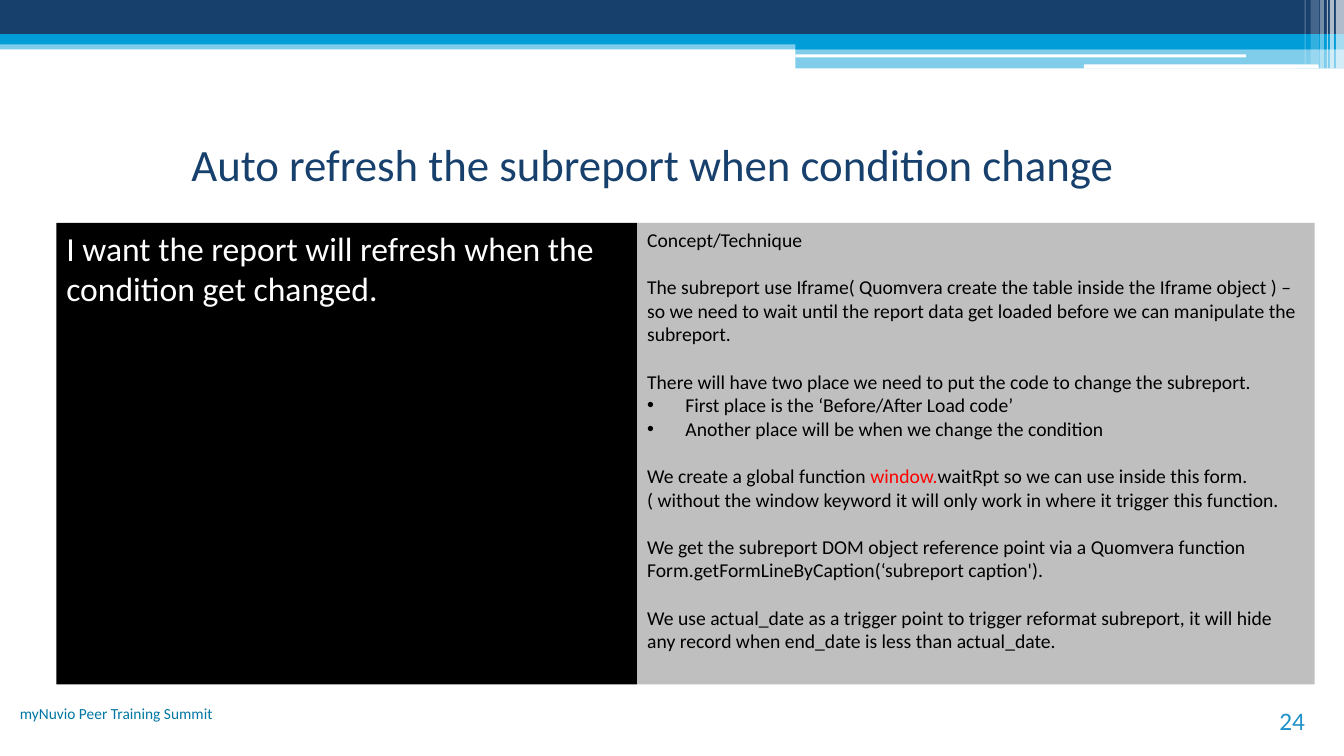
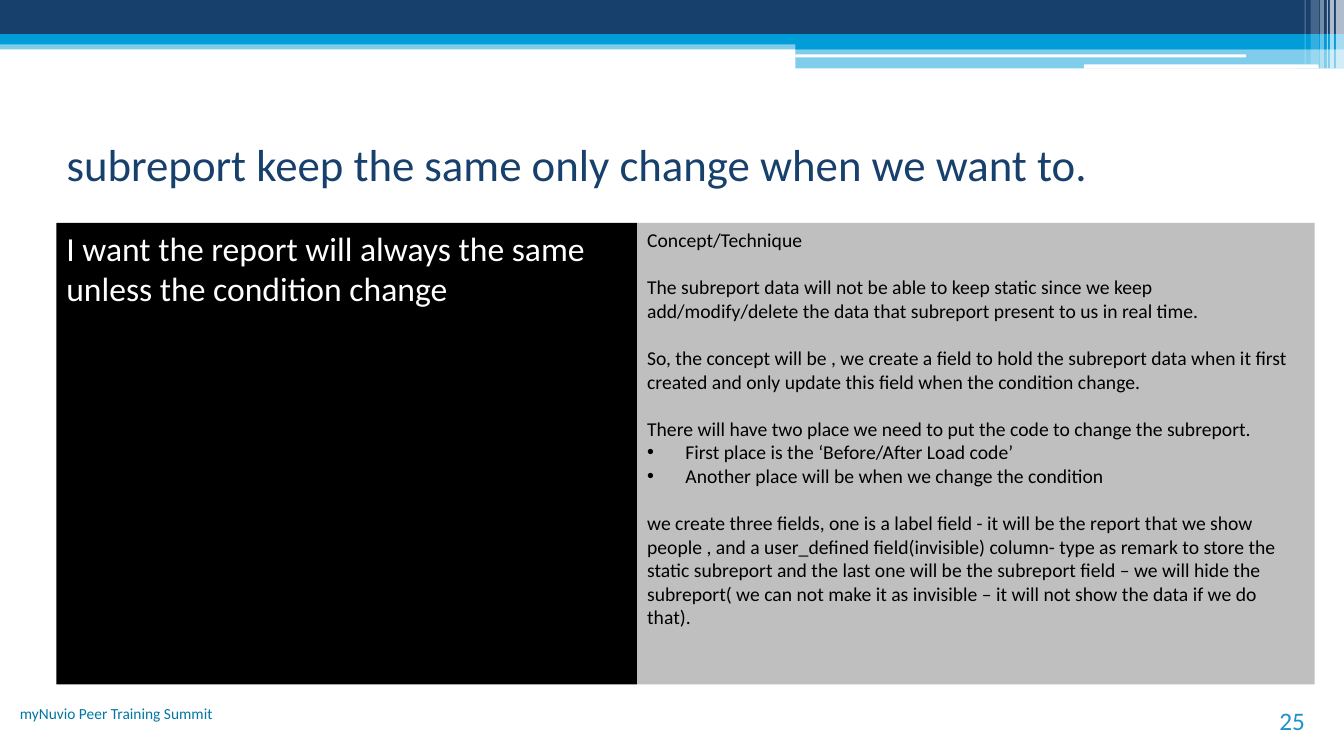
from lxml import etree
from pptx import Presentation
from pptx import util as u
from pptx.dml.color import RGBColor
from pptx.enum import shapes, text
from pptx.oxml.ns import qn

W, H = 13.33, 7.5
NAVY = RGBColor(0x17, 0x40, 0x6D)
CYAN = RGBColor(0x00, 0x9D, 0xD9)
TEAL = RGBColor(0x00, 0x76, 0xA3)
SKY = RGBColor(0x21, 0x91, 0xC9)
GREY = RGBColor(0xBF, 0xBF, 0xBF)
RED = RGBColor(0xFF, 0x00, 0x00)
BLACK = RGBColor(0x00, 0x00, 0x00)
WHITE = RGBColor(0xFF, 0xFF, 0xFF)

FONT = "Calibri"
LEFT, SPLIT, RIGHT = 0.56, 6.32, 13.04
PANEL_TOP, PANEL_H = 2.21, 4.58
BAND_X = 7.89
LINE_GAP = 17
INDENT = 0.38
FOOTER = "myNuvio Peer Training Summit"
BREAK = "\n"

RECT = shapes.MSO_SHAPE.RECTANGLE
ROUND = shapes.MSO_SHAPE.ROUNDED_RECTANGLE
ALIGN = text.PP_ALIGN
ANCHOR = text.MSO_ANCHOR

# left, top, width, height, colour, opacity in percent, outline
BANDS = [
    (0, 0.4, W, 0.09, CYAN, 50, RECT),
    (0, 0, W, 0.34, NAVY, 100, RECT),
    (0, 0.34, W, 0.1, CYAN, 100, RECT),
    (BAND_X, 0.39, W - BAND_X, 0.1, CYAN, 100, RECT),
    (BAND_X, 0.48, W - BAND_X, 0.2, CYAN, 50, RECT),
    (BAND_X, 0.54, 4.47, 0.03, WHITE, 100, ROUND),
    (10.75, 0.64, 2.33, 0.04, WHITE, 100, ROUND),
]
# left, width, height, opacity of the light stripes in the corner
STRIPES = [
    (13.25, 0.08, 0.68, 65), (13.19, 0.04, 0.68, 65),
    (13.16, 0.01, 0.68, 60), (13.09, 0.04, 0.68, 40),
    (13, 0.08, 0.64, 20), (12.94, 0.01, 0.64, 30),
]

PLACES = [
    ("gap", "There will have two place we need to put the code to change the subreport."),
    ("bullet", "First place is the ‘Before/After Load code’"),
    ("bullet", "Another place will be when we change the condition"),
]
SLIDES = [
    (24, "Auto refresh the subreport when condition change", ALIGN.CENTER,
     "I want the report will refresh when the condition get changed.",
     [("plain", "Concept/Technique"),
      ("gap", "The subreport use Iframe( Quomvera create the table inside the Iframe "
              "object ) – so we need to wait until the report data get loaded before "
              "we can manipulate the subreport."),
      *PLACES,
      ("gap", "We create a global function ", ("window.", RED),
       "waitRpt so we can use inside this form.", BREAK,
       "( without the window keyword it will only work in where it trigger this function."),
      ("gap", "We get the subreport DOM object reference point via a Quomvera function "
              "Form.getFormLineByCaption(‘subreport caption')."),
      ("gap", "We use actual_date as a trigger point to trigger reformat subreport, it "
              "will hide any record when end_date is less than actual_date.")]),
    (25, "subreport keep the same only change when we want to.", ALIGN.LEFT,
     "I want the report will always the same unless the condition change",
     [("plain", "Concept/Technique"),
      ("gap", "The subreport data will not be able to keep static since we keep "
              "add/modify/delete the data that subreport present to us in real time."),
      ("gap", "So, the concept will be , we create a field to hold the subreport data "
              "when it first created and only update this field when the condition change."),
      *PLACES,
      ("gap", "we create three fields, one is a label field - it will be the report that "
              "we show people , and a user_defined field(invisible) column- type as remark "
              "to store the static subreport and the last one will be the subreport field "
              "– we will hide the subreport( we can not make it as invisible – it will not "
              "show the data if we do that).")]),
]


def place(sp, x, y, w, h):
    sp.left, sp.top, sp.width, sp.height = (u.Inches(v) for v in (x, y, w, h))


def add_box(s, x, y, w, h, color, opacity=100, outline=RECT):
    sp = s.shapes.add_shape(outline, *(u.Inches(v) for v in (x, y, w, h)))
    sp.shadow.inherit = False
    sp.line.fill.background()
    sp.fill.solid()
    sp.fill.fore_color.rgb = color
    if opacity < 100:
        clr = sp.element.spPr.find(".//" + qn("a:srgbClr"))
        etree.SubElement(clr, qn("a:alpha"), val=str(opacity * 1000))
    return sp


def set_frame(sp, anchor=ANCHOR.TOP):
    tf = sp.text_frame
    tf.word_wrap = True
    tf.auto_size = text.MSO_AUTO_SIZE.NONE
    tf.vertical_anchor = anchor
    return tf


def add_run(p, words, size, color):
    r = p.add_run()
    r.text = words
    r.font.name, r.font.size = FONT, u.Pt(size)
    r.font.color.rgb = color


def write_line(sp, words, size, color, align=ALIGN.LEFT, anchor=ANCHOR.TOP):
    p = set_frame(sp, anchor).paragraphs[0]
    p.alignment = align
    add_run(p, words, size, color)
    return p


def add_label(s, x, y, w, h, words, size, color, anchor=ANCHOR.TOP):
    sp = s.shapes.add_textbox(*(u.Inches(v) for v in (x, y, w, h)))
    write_line(sp, words, size, color, ALIGN.RIGHT, anchor)


def set_bullet(p):
    pPr = p._p.get_or_add_pPr()
    indent = u.Inches(INDENT)
    pPr.set("marL", str(indent))
    pPr.set("indent", str(-indent))
    etree.SubElement(pPr, qn("a:buFont"), typeface="Arial")
    etree.SubElement(pPr, qn("a:buChar"), char="•")


def write_notes(sp, notes):
    """Fill a panel from (style, part, ...) rows; a part is text, (text, colour) or BREAK."""
    tf = set_frame(sp)
    for i, (style, *parts) in enumerate(notes):
        p = tf.add_paragraph() if i else tf.paragraphs[0]
        p.alignment = ALIGN.LEFT
        if style == "gap":
            p.space_before = u.Pt(LINE_GAP)
        elif style == "bullet":
            set_bullet(p)
        for part in parts:
            if part == BREAK:
                p.add_line_break()
            else:
                words, color = (part, BLACK) if isinstance(part, str) else part
                add_run(p, words, 14, color)


def decorate_layout(layout, s):
    """Draw the header bands on a slide, then hand them to its layout."""
    for ph in list(layout.placeholders)[1:]:
        ph.element.getparent().remove(ph.element)
    bands = [add_box(s, *band) for band in BANDS]
    bands += [add_box(s, x, 0, w, h, WHITE, opacity) for x, w, h, opacity in STRIPES]
    for sp in bands:
        layout.shapes.element.append(sp.element)


def fill_slide(s, number, title, align, wish, notes):
    place(s.shapes.title, LEFT, 1.04, 11.83, 1.17)
    write_line(s.shapes.title, title, 32, NAVY, align, ANCHOR.MIDDLE)
    panel = add_box(s, LEFT, PANEL_TOP, SPLIT - LEFT, PANEL_H, BLACK)
    write_line(panel, wish, 24, WHITE).space_before = u.Pt(3)
    add_label(s, 0, 6.94, 2.21, 0.5, FOOTER, 11, TEAL)
    add_label(s, 11.93, 6.95, RIGHT - 11.93, 0.4, str(number), 18, SKY, ANCHOR.BOTTOM)
    write_notes(add_box(s, SPLIT, PANEL_TOP, RIGHT - SPLIT, PANEL_H, GREY), notes)


def main():
    prs = Presentation()
    prs.slide_width, prs.slide_height = u.Inches(W), u.Inches(H)
    layout = prs.slide_layouts[5]
    for i, content in enumerate(SLIDES):
        s = prs.slides.add_slide(layout)
        if i == 0:
            decorate_layout(layout, s)
        fill_slide(s, *content)
    prs.save("out.pptx")


if __name__ == "__main__":
    main()
